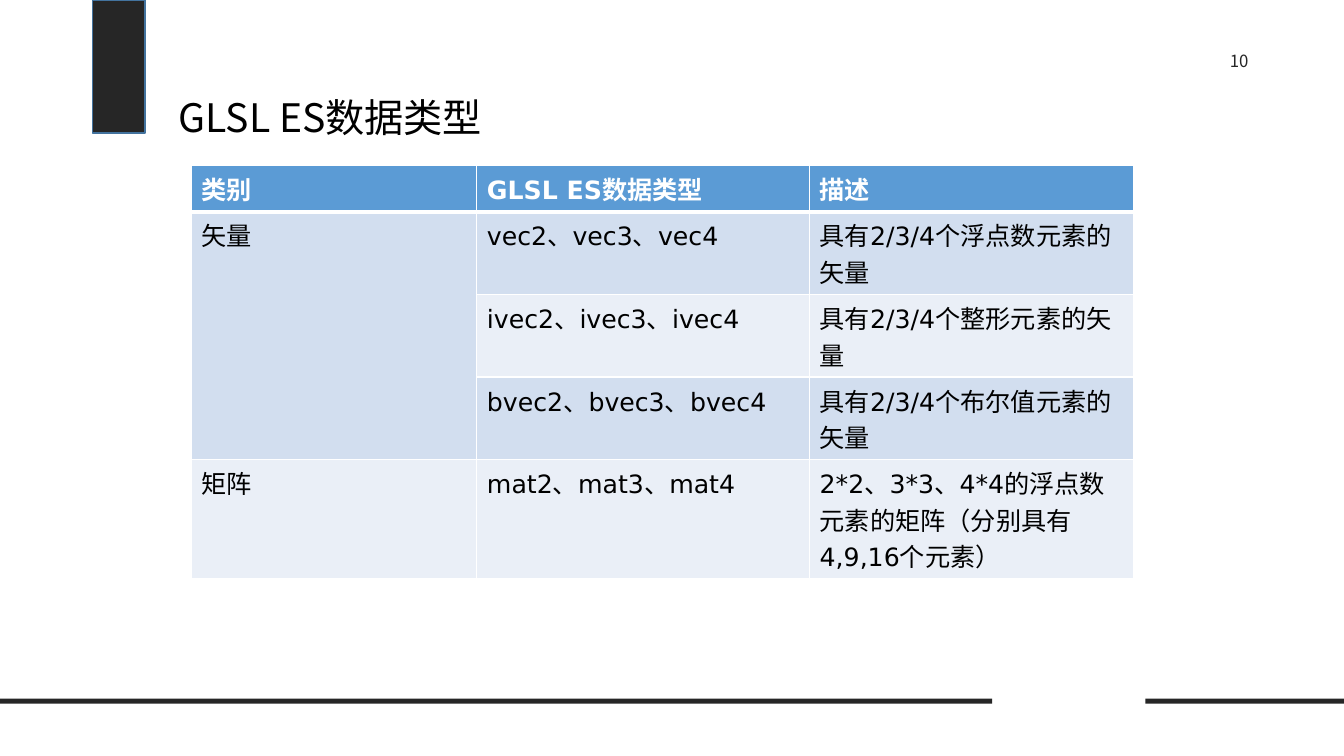
from dataclasses import dataclass

from lxml import etree
from pptx import Presentation
from pptx.dml.color import RGBColor
from pptx.enum import shapes, text
from pptx.oxml import ns
from pptx.util import Inches, Pt


@dataclass(frozen=True)
class Theme:
    dark: str = "262626"
    outline: str = "43739E"
    header: str = "5B9BD5"
    bands: tuple = ("D2DEEF", "EAEFF7")
    white: str = "FFFFFF"
    black: str = "000000"
    cjk_font: str = "Noto Sans CJK SC"
    table_font: str = "DejaVu Sans"
    title_size: int = 28
    table_size: int = 18
    number_size: int = 12


THEME = Theme()
ROWS = [
    ("类别", "GLSL ES数据类型", "描述"),
    ("矢量", "vec2、vec3、vec4", "具有2/3/4个浮点数元素的矢量"),
    ("", "ivec2、ivec3、ivec4", "具有2/3/4个整形元素的矢量"),
    ("", "bvec2、bvec3、bvec4", "具有2/3/4个布尔值元素的矢量"),
    ("矩阵", "mat2、mat3、mat4", "2*2、3*3、4*4的浮点数元素的矩阵（分别具有4,9,16个元素）"),
]
COLUMN_WIDTHS = (2.83, 3.3, 3.21)
ROW_HEIGHTS = (0.46, 0.82, 0.82, 0.82, 1.18)


def set_values(target, values):
    for name, value in values.items():
        setattr(target, name, value)


def write_text(frame, content, size, color, name=THEME.cjk_font, bold=False):
    """Write one paragraph with Latin and East Asian fonts."""
    para = frame.paragraphs[0]
    span = para.add_run()
    span.text = content
    set_values(span.font, {"name": name, "size": Pt(size), "bold": bold})
    span.font.color.rgb = RGBColor.from_string(color)
    east_asian = etree.SubElement(span.font._element, ns.qn("a:ea"))
    east_asian.set("typeface", THEME.cjk_font)
    return para


def add_bar(page, left, top, width, height, outline=None):
    bar = page.shapes.add_shape(
        shapes.MSO_SHAPE.RECTANGLE, *map(Inches, (left, top, width, height)))
    bar.shadow.inherit = False
    bar.fill.solid()
    bar.fill.fore_color.rgb = RGBColor.from_string(THEME.dark)
    if outline:
        bar.line.color.rgb = RGBColor.from_string(outline)
        bar.line.width = Pt(1)
    else:
        bar.line.fill.background()


def add_page_number(page, number):
    box = page.shapes.add_textbox(*map(Inches, (11.84, 0.35, 0.9, 0.5)))
    set_values(box.text_frame, {
        "word_wrap": False, "vertical_anchor": text.MSO_ANCHOR.MIDDLE})
    para = write_text(box.text_frame, number, THEME.number_size, THEME.dark)
    para.alignment = text.PP_ALIGN.CENTER


def set_title(page, content):
    title = page.shapes.title
    set_values(title, {"left": Inches(1.67), "top": Inches(0.62),
                       "width": Inches(10), "height": Inches(0.83)})
    set_values(title.text_frame, {
        "word_wrap": True, "auto_size": text.MSO_AUTO_SIZE.NONE,
        "vertical_anchor": text.MSO_ANCHOR.BOTTOM})
    para = write_text(title.text_frame, content, THEME.title_size, THEME.black)
    set_values(para, {"alignment": text.PP_ALIGN.LEFT, "line_spacing": 0.9})


def set_borders(cell, widths):
    properties = cell._tc.get_or_add_tcPr()
    for index, (side, width) in enumerate(widths.items()):
        line = etree.Element(ns.qn(f"a:ln{side}"), w=str(Pt(width)))
        fill = etree.SubElement(line, ns.qn("a:solidFill"))
        etree.SubElement(fill, ns.qn("a:srgbClr"), val=THEME.white)
        properties.insert(index, line)


def format_cell(cell, content, row):
    is_header = row == 0
    fill = THEME.header if is_header else THEME.bands[(row - 1) % 2]
    cell.fill.solid()
    cell.fill.fore_color.rgb = RGBColor.from_string(fill)
    set_borders(cell, {"L": 1, "R": 1, "T": 3 if row == 1 else 1,
                       "B": 3 if is_header else 1})
    if content:
        write_text(cell.text_frame, content, THEME.table_size,
                   THEME.white if is_header else THEME.black,
                   THEME.table_font, is_header)


def add_type_table(page):
    frame = page.shapes.add_table(
        len(ROWS), len(COLUMN_WIDTHS), Inches(1.9), Inches(1.64),
        Inches(sum(COLUMN_WIDTHS)), Inches(sum(ROW_HEIGHTS)))
    table = frame.table
    for column, width in zip(table.columns, COLUMN_WIDTHS):
        column.width = Inches(width)
    for row, height in zip(table.rows, ROW_HEIGHTS):
        row.height = Inches(height)
    for row, contents in enumerate(ROWS):
        for column, content in enumerate(contents):
            format_cell(table.cell(row, column), content, row)
    # The vector category covers three rows
    table.cell(1, 0).merge(table.cell(3, 0))


def main():
    deck = Presentation()
    set_values(deck, {"slide_width": Inches(13.33), "slide_height": Inches(7.5)})
    page = deck.slides.add_slide(deck.slide_layouts[5])

    # Frame decoration
    add_bar(page, 0.92, 0, 0.52, 1.32, THEME.outline)
    for left, width in ((0, 9.84), (11.36, 1.97)):
        add_bar(page, left, 6.93, width, 0.05)
    add_page_number(page, "10")

    # Content
    set_title(page, "GLSL ES数据类型")
    add_type_table(page)

    deck.save("out.pptx")


if __name__ == "__main__":
    main()
